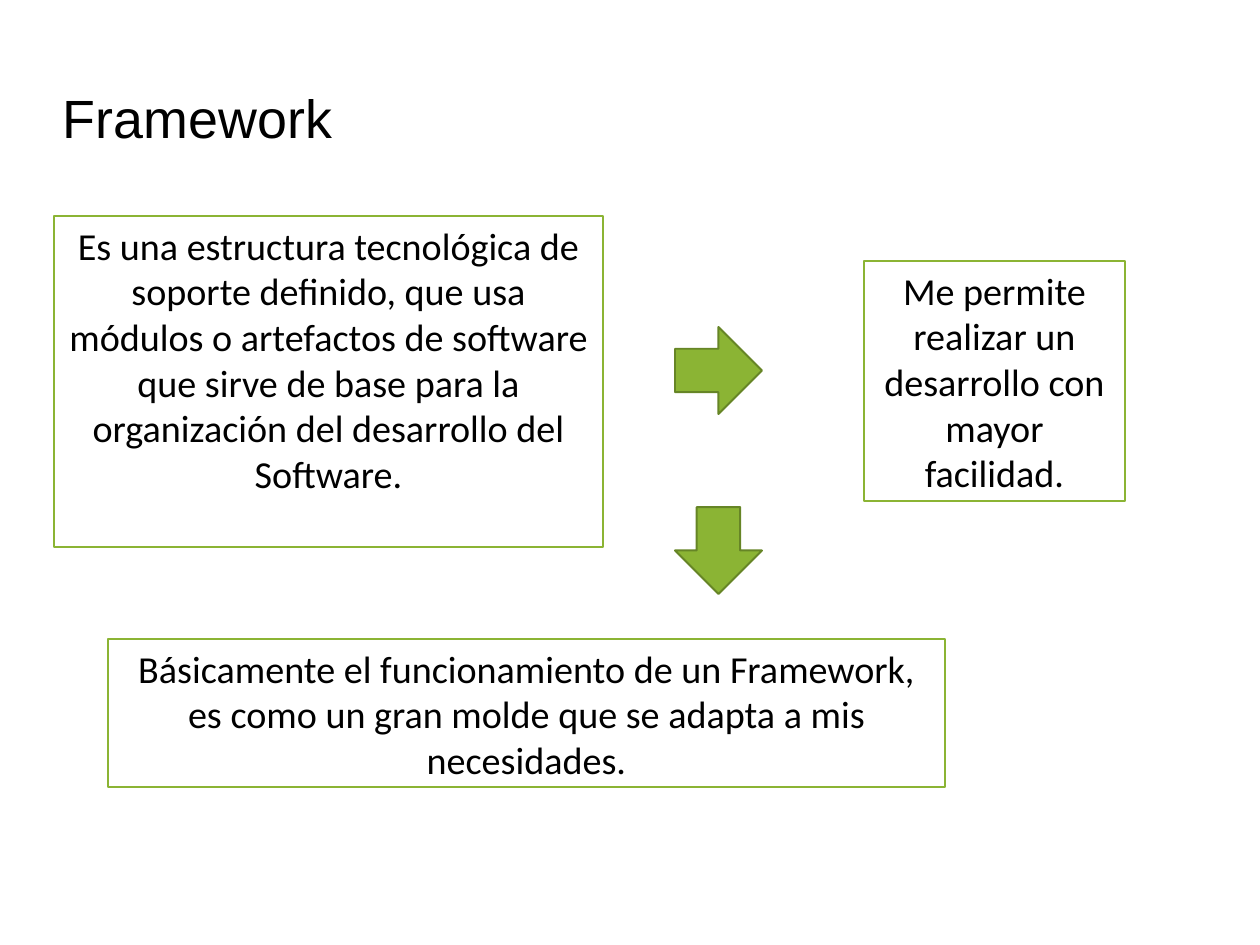
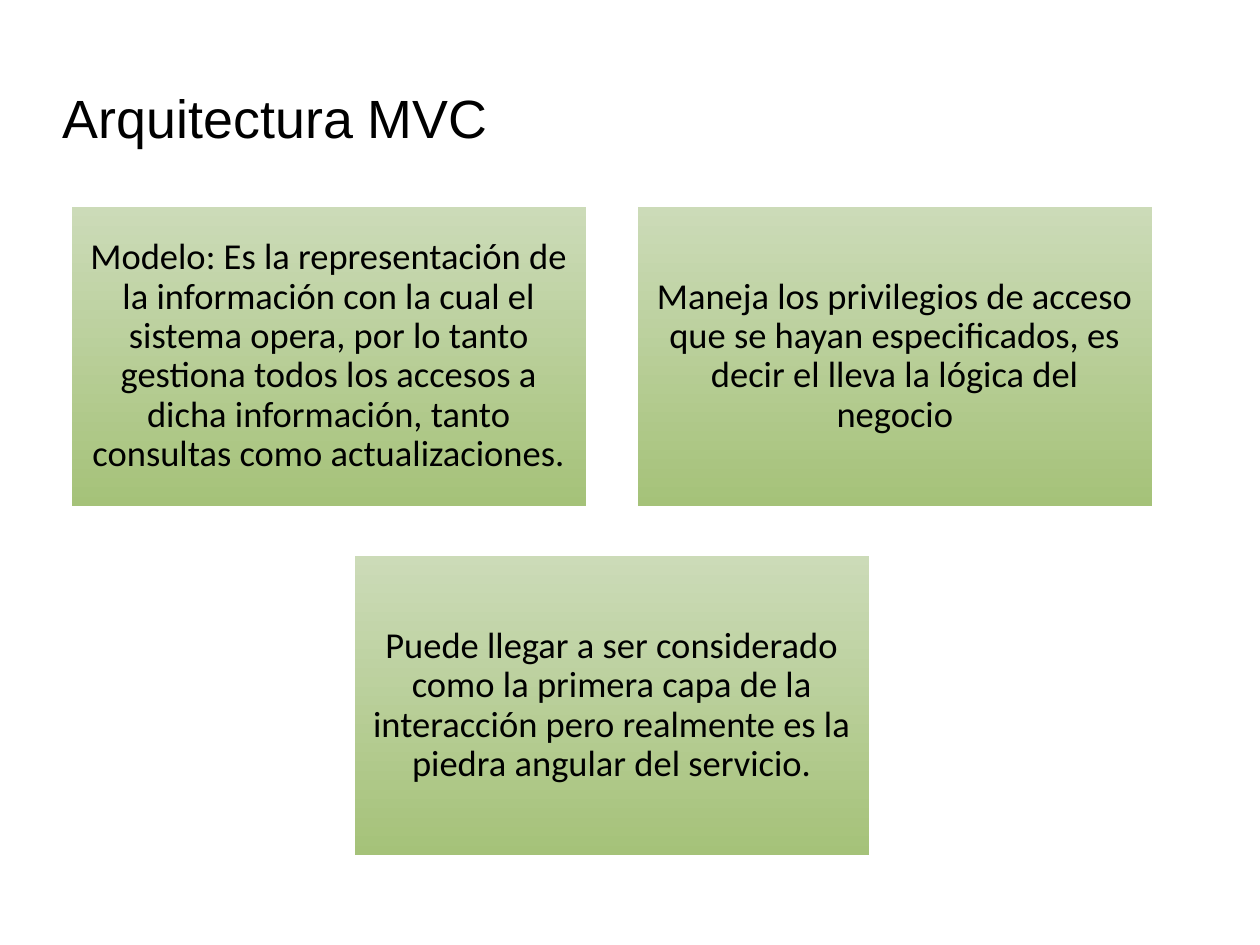
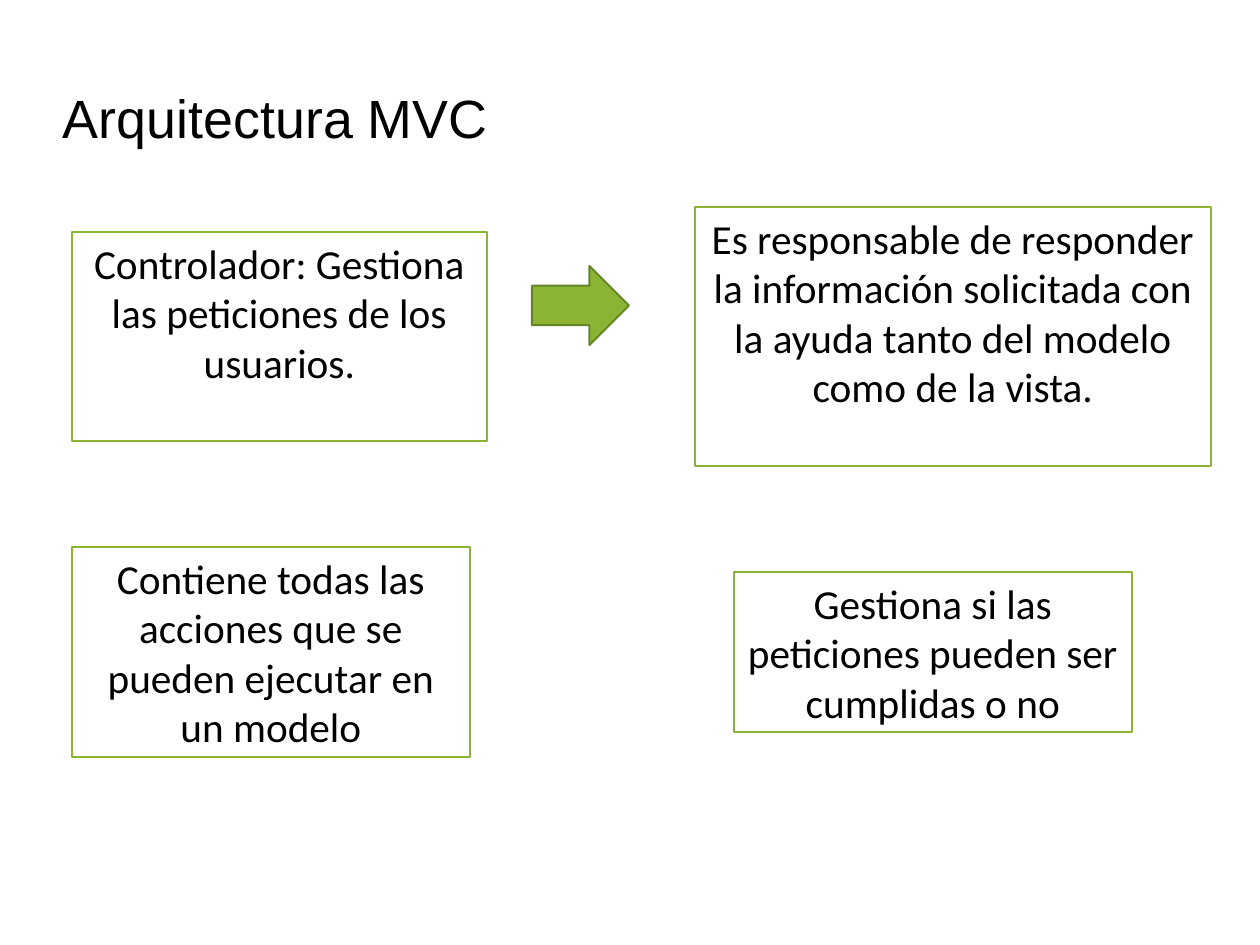
from pptx import Presentation
from pptx.dml.color import RGBColor
from pptx.enum.shapes import MSO_SHAPE
from pptx.enum.text import MSO_ANCHOR, PP_ALIGN
from pptx.util import Pt

PX = 8000  # EMU in one px
HUES = {"ink": "000000", "paper": "FFFFFF", "green": "8BB434",
        "edge": "668526", "light": "CCDBB8", "deep": "A5C279"}
SIZE = (1260, 945)
HEAD = (63, 72, 900, 90)
BODY = (54, 207, 1157, 648)
GRID = (72, 207, 1080, 648)
RIGHT, DOWN = MSO_SHAPE.RIGHT_ARROW, MSO_SHAPE.DOWN_ARROW

NOTE = {"vertical_anchor": MSO_ANCHOR.TOP}
TILE = {"vertical_anchor": MSO_ANCHOR.MIDDLE}
MID = {"alignment": PP_ALIGN.CENTER}
LOOSE = {"alignment": PP_ALIGN.CENTER, "line_spacing": 0.9,
         "space_after": Pt(8.1)}


def hue(name):
    return RGBColor.from_string(HUES[name])


def emu(box):
    return [n * PX for n in box]


def put(obj, vals):
    for key, val in vals.items():
        setattr(obj, key, val)


def within(box, part):
    """Shift a part by the corner of its box."""
    return (box[0] + part[0], box[1] + part[1], *part[2:])


def write(shape, text, size, face, pad, frame, para):
    body = shape.text_frame
    sides = ("margin_left", "margin_top", "margin_right", "margin_bottom")
    put(body, {"word_wrap": True, **frame,
               **{side: n * PX for side, n in zip(sides, pad)}})
    line = body.paragraphs[0]
    line.text = text
    put(line, para)
    put(line.font, {"name": face, "size": Pt(size)})
    line.font.color.rgb = hue("ink")


def block(slide, kind, box, fill, edge):
    shape = slide.shapes.add_shape(kind, *emu(box))
    shape.shadow.inherit = False
    if fill:
        shape.fill.solid()
        shape.fill.fore_color.rgb = hue(fill)
    if edge:
        shape.line.color.rgb = hue(edge)
        shape.line.width = Pt(1.25)
    else:
        shape.line.fill.background()
    return shape


def title(slide, box, text):
    label = slide.shapes.add_textbox(*emu(box))
    write(label, text, 33.9, "Arial", (0, 0, 0, 0), TILE,
          {"alignment": PP_ALIGN.LEFT})


def flow(slide, box, size, notes, arrows):
    """Outlined notes with block arrows between them."""
    for part, text in notes:
        note = block(slide, MSO_SHAPE.RECTANGLE, within(box, part),
                     "paper", "green")
        write(note, text, size, "Calibri", (11, 6, 11, 6), NOTE, MID)
    for kind, part in arrows:
        block(slide, kind, within(box, part), "green", "edge")


def tiles(slide, box, texts, wide=514, high=299, cols=2):
    """Shaded tiles in rows, with a short last row centred."""
    rows = [texts[i:i + cols] for i in range(0, len(texts), cols)]
    step = (box[2] - wide) // (cols - 1)
    drop = (box[3] - high) // (len(rows) - 1)
    for r, row in enumerate(rows):
        start = (cols - len(row)) * step // 2
        for c, text in enumerate(row):
            part = (start + c * step, r * drop, wide, high)
            tile = block(slide, MSO_SHAPE.RECTANGLE, within(box, part),
                         None, None)
            tile.fill.gradient()
            tile.fill.gradient_angle = 270
            for stop, name in zip(tile.fill.gradient_stops,
                                  ("light", "deep")):
                stop.color.rgb = hue(name)
            write(tile, text, 23, "Calibri", (11, 11, 11, 11), TILE, LOOSE)


def main():
    deck = Presentation()
    put(deck, {"slide_width": SIZE[0] * PX, "slide_height": SIZE[1] * PX})

    def page(text):
        slide = deck.slides.add_slide(deck.slide_layouts[6])
        title(slide, HEAD, text)
        return slide

    # Framework
    flow(page("Framework"), BODY, 24, [
        ((0, 9, 549, 331),
         "Es una estructura tecnológica de soporte definido, que usa módulos "
         "o artefactos de software que sirve de base para la organización "
         "del desarrollo del Software."),
        ((810, 54, 261, 240),
         "Me permite realizar un desarrollo con mayor facilidad."),
        ((54, 432, 837, 148),
         "Básicamente el funcionamiento de un Framework, es como un gran "
         "molde que se adapta a mis necesidades."),
    ], [(DOWN, (621, 300, 87, 87)), (RIGHT, (621, 120, 87, 87))])

    # Model
    tiles(page("Arquitectura MVC"), GRID, [
        "Modelo: Es la representación de la información con la cual el "
        "sistema opera, por lo tanto gestiona todos los accesos a dicha "
        "información, tanto consultas como actualizaciones.",
        "Maneja los privilegios de acceso que se hayan especificados, es "
        "decir el lleva la lógica del negocio",
        "Puede llegar a ser considerado como la primera capa de la "
        "interacción pero realmente es la piedra angular del servicio.",
    ])

    # Controller
    flow(page("Arquitectura MVC"), BODY, 26, [
        ((18, 25, 415, 209),
         "Controlador: Gestiona las peticiones de los usuarios."),
        ((641, 0, 516, 259),
         "Es responsable de responder la información solicitada con la "
         "ayuda tanto del modelo como de la vista."),
        ((18, 340, 398, 210),
         "Contiene todas las acciones que se pueden ejecutar en un modelo"),
        ((680, 365, 398, 160),
         "Gestiona si las peticiones pueden ser cumplidas o no"),
    ], [(RIGHT, (478, 59, 97, 79))])

    deck.save("out.pptx")


if __name__ == "__main__":
    main()
